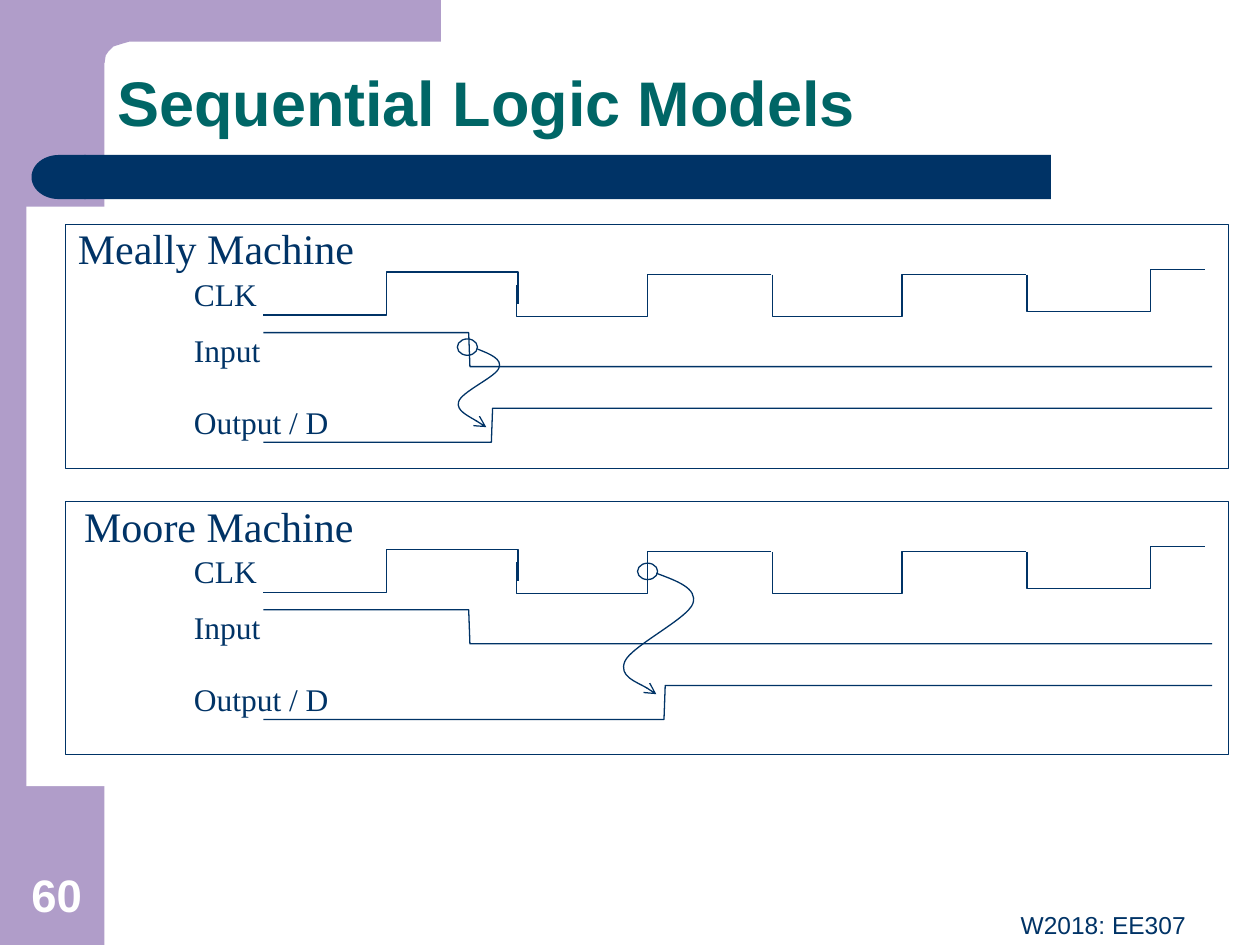
from dataclasses import dataclass

from lxml.etree import SubElement
from pptx import Presentation
from pptx.dml.color import RGBColor
from pptx.enum.shapes import MSO_CONNECTOR, MSO_SHAPE
from pptx.enum.text import MSO_ANCHOR, PP_ALIGN
from pptx.oxml.ns import qn
from pptx.util import Inches, Pt

NAVY = RGBColor(0x00, 0x33, 0x66)
TEAL = RGBColor(0x00, 0x66, 0x66)
LILAC = RGBColor(0xB0, 0x9D, 0xC9)
WHITE = RGBColor(0xFF, 0xFF, 0xFF)

Point = tuple[float, float]
Box = tuple[float, float, float, float]


@dataclass(frozen=True)
class Machine:
    name: str
    name_left: float
    top: float
    height: float
    output_rise: float
    trigger: Point
    cause: tuple[Point, ...]


@dataclass(frozen=True)
class Signal:
    name: str
    top: float
    width: float


SIGNALS = (
    Signal("CLK", 0.35, 1.01),
    Signal("Input", 0.8, 1.01),
    Signal("Output / D", 1.37, 1.42),
)
CLOCK = (
    ((2.09, 0.72), (3.07, 0.72), (3.07, 0.38), (4.11, 0.38), (4.11, 0.63)),
    ((6.12, 0.4), (5.14, 0.4), (5.14, 0.73), (4.1, 0.73), (4.1, 0.48)),
    ((8.14, 0.4), (7.16, 0.4), (7.16, 0.73), (6.13, 0.73), (6.13, 0.48)),
    ((8.15, 0.4), (8.15, 0.69), (9.13, 0.69), (9.13, 0.36), (9.56, 0.36)),
)
INPUT = ((2.09, 0.86), (3.72, 0.86), (3.73, 1.13), (9.62, 1.13))
MACHINES = (
    Machine("Meally Machine", 0.52, 1.78, 1.94, 3.9, (3.63, 0.91),
            ((3.79, 0.99), (3.89, 1.03), (3.99, 1.07), (3.96, 1.14),
             (3.94, 1.21), (3.66, 1.33), (3.64, 1.41),
             (3.62, 1.48), (3.82, 1.58), (3.86, 1.61))),
    Machine("Moore Machine", 0.57, 3.98, 2.01, 5.27, (5.06, 0.49),
            ((5.21, 0.57), (5.37, 0.63), (5.54, 0.69), (5.5, 0.81),
             (5.46, 0.93), (5.01, 1.15), (4.96, 1.27),
             (4.91, 1.39), (5.16, 1.48), (5.21, 1.53))),
)


def add_filled(shapes, preset: MSO_SHAPE, box: Box, color: RGBColor):
    shape = shapes.add_shape(preset, *map(Inches, box))
    shape.shadow.inherit = False
    shape.fill.solid()
    shape.fill.fore_color.rgb = color
    shape.line.fill.background()
    return shape


def outline(shape) -> None:
    shape.shadow.inherit = False
    shape.fill.background()
    shape.line.color.rgb = NAVY
    shape.line.width = Pt(0.75)


def trace(shapes, points: tuple[Point, ...], top: float = 0, close: bool = False):
    start, *rest = [(Inches(x), Inches(top + y)) for x, y in points]
    builder = shapes.build_freeform(*start)
    builder.add_line_segments(rest, close=close)
    return builder.convert_to_shape()


def add_wave(shapes, points: tuple[Point, ...], top: float):
    wave = trace(shapes, points, top)
    outline(wave)
    return wave


def add_curved_arrow(shapes, points: tuple[Point, ...], top: float) -> None:
    properties = add_wave(shapes, points, top)._element.spPr
    route = next(properties.iter(qn("a:path")))
    segments = route.findall(qn("a:lnTo"))
    for first in range(0, len(segments), 3):
        curve = SubElement(route, qn("a:cubicBezTo"))
        for segment in segments[first:first + 3]:
            curve.append(segment[0])
            route.remove(segment)
    SubElement(properties.find(qn("a:ln")), qn("a:tailEnd"), type="arrow")


def write(frame, text: str, size: float, color: RGBColor, font: str,
          bold: bool = False, align: PP_ALIGN = PP_ALIGN.LEFT,
          anchor: MSO_ANCHOR = MSO_ANCHOR.TOP) -> None:
    frame.text = text
    frame.word_wrap = True
    frame.vertical_anchor = anchor
    paragraph = frame.paragraphs[0]
    paragraph.alignment = align
    paragraph.font.name = font
    paragraph.font.size = Pt(size)
    paragraph.font.bold = bold
    paragraph.font.color.rgb = color


def add_label(shapes, box: Box, text: str, size: float) -> None:
    label = shapes.add_textbox(*map(Inches, box))
    write(label.text_frame, text, size, NAVY, "Times New Roman")


def draw_machine(slide, machine: Machine) -> None:
    shapes = slide.shapes.add_group_shape().shapes
    top = machine.top
    frame = shapes.add_shape(MSO_SHAPE.RECTANGLE, Inches(0.52), Inches(top),
                             Inches(9.23), Inches(machine.height))
    outline(frame)

    rise = machine.output_rise
    output = ((2.09, 1.73), (rise, 1.73), (rise + 0.01, 1.46), (9.62, 1.46))
    for wave in (*CLOCK, INPUT, output):
        add_wave(shapes, wave, top)
    edge = shapes.add_connector(MSO_CONNECTOR.STRAIGHT, Inches(6.13), Inches(top + 0.4),
                                Inches(6.13), Inches(top + 0.71))
    edge.line.color.rgb = NAVY
    edge.line.width = Pt(0.75)
    SubElement(edge._element.spPr, qn("a:effectLst"))

    trigger_x, trigger_y = machine.trigger
    trigger = shapes.add_shape(MSO_SHAPE.OVAL, Inches(trigger_x), Inches(top + trigger_y),
                               Inches(0.16), Inches(0.13))
    outline(trigger)
    add_curved_arrow(shapes, machine.cause, top)

    add_label(shapes, (machine.name_left, top - 0.06, 2.67, 0.5), machine.name, 24)
    for signal in SIGNALS:
        add_label(shapes, (1.44, top + signal.top, signal.width, 0.4), signal.name, 18)


def draw_backdrop(slide) -> None:
    shapes = slide.shapes
    add_filled(shapes, MSO_SHAPE.RECTANGLE, (0, 0, 0.83, 7.5), LILAC)
    corner = trace(shapes, ((3.5, 0), (3.5, 0.33), (1.11, 0.33), (1.03, 0.33), (0.96, 0.35),
                            (0.9, 0.37), (0.86, 0.41), (0.84, 0.44), (0.83, 0.5),
                            (0.5, 0.5), (0.5, 0)), close=True)
    corner.shadow.inherit = False
    corner.fill.solid()
    corner.fill.fore_color.rgb = LILAC
    corner.line.fill.background()
    add_filled(shapes, MSO_SHAPE.RECTANGLE, (0.21, 1.64, 0.92, 4.6), WHITE)
    add_filled(shapes, MSO_SHAPE.RECTANGLE, (0.67, 1.23, 7.67, 0.35), NAVY)
    bar_end = add_filled(shapes, MSO_SHAPE.FLOWCHART_DELAY, (0.25, 1.23, 0.43, 0.35), NAVY)
    bar_end.rotation = 180


def main() -> None:
    deck = Presentation()
    deck.slide_width, deck.slide_height = Inches(10), Inches(7.5)
    slide = deck.slides.add_slide(deck.slide_layouts[5])
    draw_backdrop(slide)

    title = slide.shapes.title
    title.left, title.top, title.width, title.height = map(Inches, (0.83, 0.33, 8.67, 0.83))
    write(title.text_frame, "Sequential Logic Models", 36, TEAL, "Arial", bold=True,
          anchor=MSO_ANCHOR.BOTTOM)
    title.text_frame.paragraphs[0].line_spacing = 0.9

    for machine in MACHINES:
        draw_machine(slide, machine)

    page = slide.shapes.add_textbox(*map(Inches, (0, 6.83, 0.9, 0.53)))
    write(page.text_frame, "60", 26, WHITE, "Arial", bold=True,
          align=PP_ALIGN.CENTER, anchor=MSO_ANCHOR.BOTTOM)
    course = slide.shapes.add_textbox(*map(Inches, (3.42, 7.17, 6.09, 0.52)))
    write(course.text_frame, "W2018: EE307", 14, NAVY, "Arial", align=PP_ALIGN.RIGHT)

    deck.save("out.pptx")


if __name__ == "__main__":
    main()
